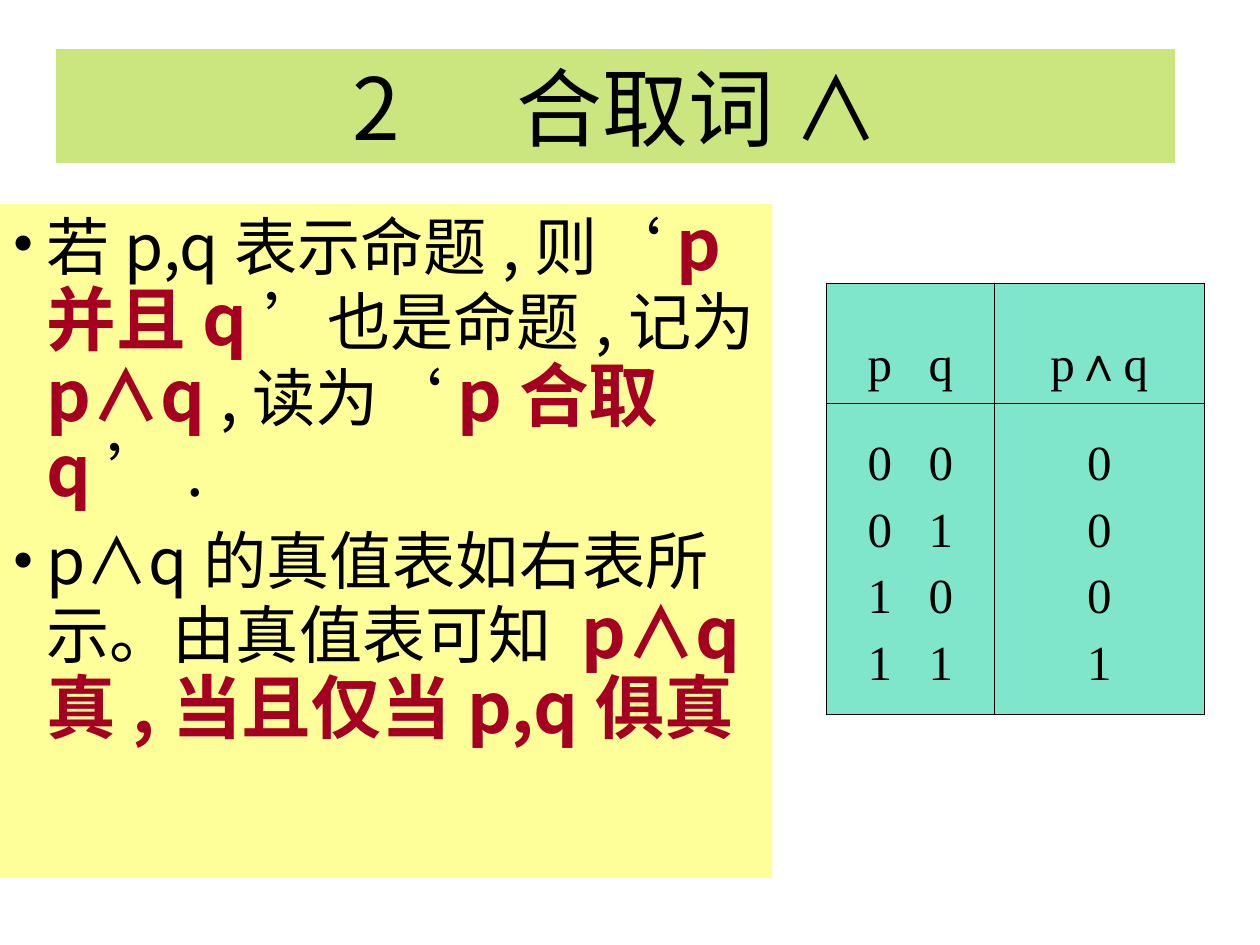
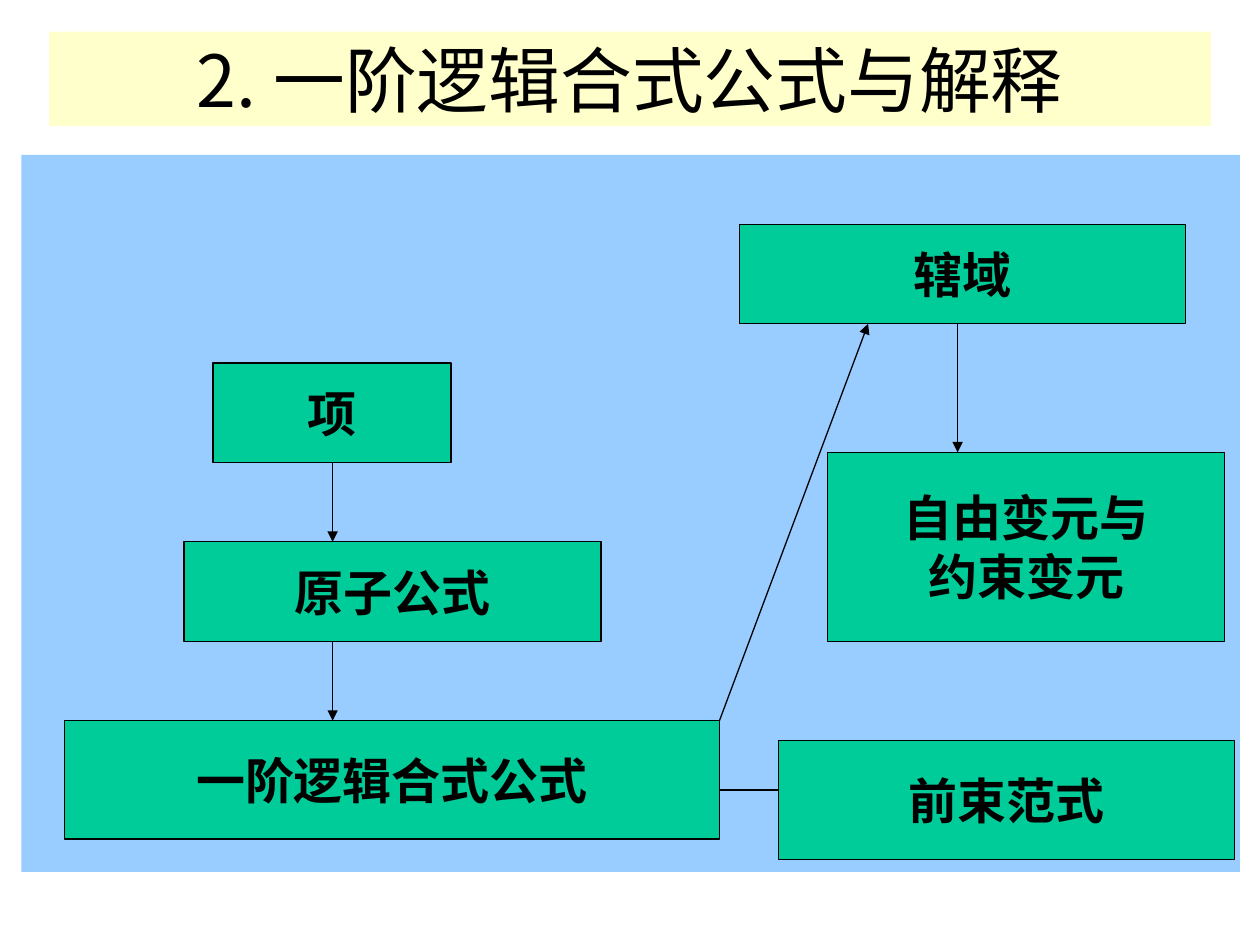
from dataclasses import dataclass
from typing import Any, NamedTuple, Optional

import pptx
import pptx.dml.color
import pptx.enum.shapes
import pptx.enum.text
import pptx.oxml.ns
import pptx.util
from lxml import etree

Inches = pptx.util.Inches
Pt = pptx.util.Pt
qn = pptx.oxml.ns.qn
ALIGN = pptx.enum.text.PP_ALIGN
ANCHOR = pptx.enum.text.MSO_ANCHOR


@dataclass(frozen=True)
class Theme:
    black: str = "000000"
    white: str = "FFFFFF"
    lime: str = "99CC00"
    yellow: str = "FFFF99"
    blue: str = "99CCFF"
    green: str = "00CC99"
    red: str = "A50021"
    sans: str = "Noto Sans CJK SC"
    sans_alternate: str = "Noto Sans CJK JP"
    serif: str = "Times New Roman"
    large_title: float = 49
    title: float = 41
    body: float = 36.1
    emphasis: float = 39.8
    label: float = 28
    line: float = 0.75
    outer_border: float = 1.08
    inner_border: float = 0.45
    half: int = 50


THEME = Theme()


class Area(NamedTuple):
    left: float
    top: float
    width: float
    height: float

    def lengths(self) -> list[int]:
        return [Inches(value) for value in self]


class Style(NamedTuple):
    size: float
    name: str
    colour: str = THEME.black
    bold: bool = False
    east_asian: str = THEME.sans


class Span(NamedTuple):
    text: str
    style: Optional[Style] = None
    spacing: float = 0


class Node(NamedTuple):
    area: Area
    lines: tuple[str, ...]


class Arrow(NamedTuple):
    start: tuple[float, float]
    end: tuple[float, float]


PLAIN = Style(THEME.body, THEME.sans)
QUOTE = Style(THEME.body, THEME.serif)
STRONG = Style(THEME.emphasis, THEME.sans, THEME.red, True)
NODE_STYLE = Style(THEME.label, THEME.serif, bold=True)
CELL_STYLE = Style(THEME.label, THEME.serif, east_asian=THEME.serif)

CONJUNCTION_POINTS = (
    (
        Span("若p,q表示命题,则", PLAIN),
        Span("‘", QUOTE),
        Span("p并且q", STRONG),
        Span("’", QUOTE),
        Span("也是命题,记为", PLAIN),
        Span("p∧q", STRONG),
        Span(" ,读为", PLAIN),
        Span("‘", QUOTE),
        Span("p合取q", STRONG),
        Span("’", QUOTE),
        Span(".", PLAIN),
    ),
    (
        Span("p∧q的真值表如右表所示。由真值表可知 ", PLAIN),
        Span("p∧q真,当且仅当p,q俱真", STRONG),
    ),
)

FORMULA_NODES = (
    Node(Area(1.69, 2.88, 1.89, 0.79), ("项",)),
    Node(Area(1.46, 4.3, 3.31, 0.79), ("原子公式",)),
    Node(Area(0.51, 5.72, 5.2, 0.94), ("一阶逻辑合式公式",)),
    Node(Area(5.87, 1.78, 3.54, 0.79), ("辖域",)),
    Node(Area(6.57, 3.59, 3.15, 1.5), ("自由变元与", "约束变元")),
    Node(Area(6.18, 5.88, 3.62, 0.94), ("前束范式",)),
)

FORMULA_ARROWS = (
    Arrow((2.64, 3.67), (2.64, 4.3)),
    Arrow((2.64, 5.09), (2.64, 5.72)),
    Arrow((5.71, 5.72), (6.89, 2.57)),
    Arrow((7.6, 2.57), (7.6, 3.59)),
    Arrow((5.71, 6.27), (6.57, 6.27)),
)


def rgb(colour: str) -> pptx.dml.color.RGBColor:
    return pptx.dml.color.RGBColor.from_string(colour)


def paint(fill: Any, properties: Any, colour: str, opacity: int = 100) -> None:
    """Fill a shape or cell whose XML properties element is given."""
    fill.solid()
    fill.fore_color.rgb = rgb(colour)
    if opacity < 100:
        tint = properties.find(f"{qn('a:solidFill')}/{qn('a:srgbClr')}")
        etree.SubElement(tint, qn("a:alpha"), val=str(opacity * 1000))


def set_font(font: Any, properties: Any, style: Style) -> None:
    """Apply a style with its Latin and East Asian typefaces."""
    font.size = Pt(style.size)
    font.bold = style.bold
    font.color.rgb = rgb(style.colour)
    font.name = style.name
    etree.SubElement(properties, qn("a:ea"), typeface=style.east_asian)


def set_paragraph_font(para: Any, style: Style) -> None:
    font = para.font
    set_font(font, para._p.pPr.find(qn("a:defRPr")), style)


def add_spans(para: Any, spans: tuple[Span, ...]) -> None:
    for span in spans:
        run = para.add_run()
        run.text = span.text
        if span.style:
            set_font(run.font, run._r.get_or_add_rPr(), span.style)
        if span.spacing:
            run._r.get_or_add_rPr().set("spc", str(round(span.spacing * 100)))


def add_centred(frame: Any, rows: list[tuple[Span, ...]], style: Style, gap: float = 0) -> None:
    for index, spans in enumerate(rows):
        para = frame.add_paragraph() if index else frame.paragraphs[0]
        para.alignment = ALIGN.CENTER
        if index and gap:
            para.space_before = Pt(gap)
        set_paragraph_font(para, style)
        add_spans(para, spans)


def add_panel(page: Any, area: Area, fill: str, opacity: int = 100, line: Optional[str] = None) -> Any:
    box = page.shapes.add_shape(pptx.enum.shapes.MSO_SHAPE.RECTANGLE, *area.lengths())
    box.shadow.inherit = False
    paint(box.fill, box._element.spPr, fill, opacity)
    if line:
        box.line.color.rgb = rgb(line)
        box.line.width = Pt(THEME.line)
    else:
        box.line.fill.background()
    return box


def add_title(
    page: Any, area: Area, spans: tuple[Span, ...], style: Style, fill: str, line: Optional[str] = None
) -> None:
    frame = add_panel(page, area, fill, THEME.half, line).text_frame
    frame.vertical_anchor = ANCHOR.MIDDLE
    add_centred(frame, [spans], style)


def add_bullets(page: Any, area: Area, points: tuple[tuple[Span, ...], ...]) -> None:
    frame = add_panel(page, area, THEME.yellow).text_frame
    frame.word_wrap = True
    frame.vertical_anchor = ANCHOR.TOP
    for index, spans in enumerate(points):
        para = frame.add_paragraph() if index else frame.paragraphs[0]
        para.alignment = ALIGN.LEFT
        para.line_spacing = 0.9
        if index:
            para.space_before = Pt(10.7)
        properties = para._p.get_or_add_pPr()
        properties.set("marL", str(Inches(0.27)))
        properties.set("indent", str(-Inches(0.27)))
        colour = etree.SubElement(properties, qn("a:buClr"))
        etree.SubElement(colour, qn("a:srgbClr"), val=THEME.black)
        etree.SubElement(properties, qn("a:buFont"), typeface=THEME.serif)
        etree.SubElement(properties, qn("a:buChar"), char="•")
        add_spans(para, spans)


def add_borders(cell: Any, widths: dict[str, float]) -> None:
    properties = cell._tc.get_or_add_tcPr()
    for index, (side, width) in enumerate(widths.items()):
        border = etree.Element(qn(f"a:ln{side}"), w=str(Pt(width)))
        fill = etree.SubElement(border, qn("a:solidFill"))
        etree.SubElement(fill, qn("a:srgbClr"), val=THEME.black)
        properties.insert(index, border)


def add_truth_table(page: Any, area: Area) -> None:
    def pair(first: str, second: str) -> tuple[Span, ...]:
        return Span(first), Span(" ", spacing=14), Span(second)

    inputs = [(p, q) for p in (0, 1) for q in (0, 1)]
    contents = (
        ([pair("p", "q")], [(Span("p∧q"),)]),
        ([pair(str(p), str(q)) for p, q in inputs], [(Span(str(p & q)),) for p, q in inputs]),
    )
    table = page.shapes.add_table(2, 2, *area.lengths()).table
    table.first_row = table.horz_banding = False
    for column, width in zip(table.columns, (1.33, 1.67)):
        column.width = Inches(width)
    outer, inner = THEME.outer_border, THEME.inner_border
    for row_index, (height, top_margin) in enumerate(((0.95, 0.43), (2.47, 0.27))):
        table.rows[row_index].height = Inches(height)
        for column_index, lines in enumerate(contents[row_index]):
            cell = table.cell(row_index, column_index)
            cell.margin_top = Inches(top_margin)
            add_centred(cell.text_frame, lines, CELL_STYLE, gap=7)
            paint(cell.fill, cell._tc.get_or_add_tcPr(), THEME.green, THEME.half)
            add_borders(cell, {
                "L": inner if column_index else outer,
                "R": outer if column_index else inner,
                "T": inner if row_index else outer,
                "B": outer if row_index else inner,
            })


def add_node(page: Any, node: Node) -> None:
    frame = add_panel(page, node.area, THEME.green, line=THEME.black).text_frame
    frame.word_wrap = False
    frame.vertical_anchor = ANCHOR.MIDDLE
    add_centred(frame, [(Span(line),) for line in node.lines], NODE_STYLE)


def add_arrow(page: Any, arrow: Arrow) -> None:
    ends = [Inches(value) for value in arrow.start + arrow.end]
    connector = page.shapes.add_connector(pptx.enum.shapes.MSO_CONNECTOR.STRAIGHT, *ends)
    connector.line.color.rgb = rgb(THEME.black)
    connector.line.width = Pt(THEME.line)
    properties = connector._element.spPr
    etree.SubElement(properties.find(qn("a:ln")), qn("a:tailEnd"), type="triangle")
    etree.SubElement(properties, qn("a:effectLst"))


def build_conjunction(page: Any) -> None:
    title = (Span("2"), Span(" ", spacing=44), Span("合取词 ∧"))
    style = Style(THEME.large_title, THEME.sans)
    add_title(page, Area(0.44, 0.38, 8.89, 0.92), title, style, THEME.lime, THEME.white)
    add_bullets(page, Area(0, 1.62, 6.13, 5.35), CONJUNCTION_POINTS)
    add_truth_table(page, Area(6.56, 2.25, 3, 3.42))


def build_formulas(page: Any) -> None:
    title = (Span("2.一阶逻辑合式公式与解释"),)
    style = Style(THEME.title, THEME.sans_alternate, east_asian=THEME.sans_alternate)
    add_title(page, Area(0.39, 0.25, 9.22, 0.75), title, style, THEME.yellow)
    add_panel(page, Area(0.17, 1.23, 9.67, 5.69), THEME.blue)
    for arrow in FORMULA_ARROWS:
        add_arrow(page, arrow)
    for node in FORMULA_NODES:
        add_node(page, node)


def main() -> None:
    deck = pptx.Presentation()
    deck.slide_width, deck.slide_height = Inches(10), Inches(7.5)
    for build in (build_conjunction, build_formulas):
        build(deck.slides.add_slide(deck.slide_layouts[6]))
    deck.save("out.pptx")


if __name__ == "__main__":
    main()
